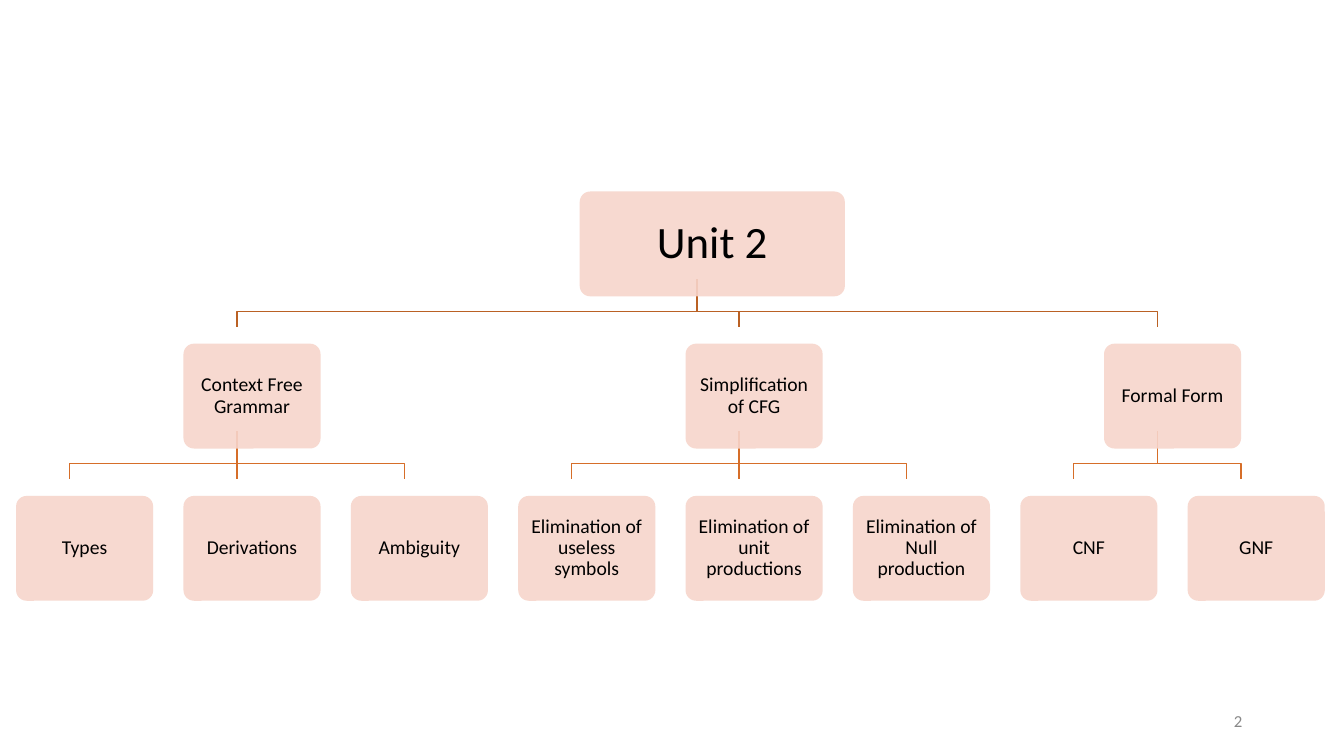
from dataclasses import dataclass
from typing import Optional

from lxml import etree
from pptx import Presentation
from pptx import util as u
from pptx.dml.color import RGBColor
from pptx.enum import shapes, text
from pptx.oxml.ns import qn

COLOURS = {"card": "F7D5CB", "plate": "FFFFFF", "text": "000000",
           "number": "888888", "branch": "BA6124", "twig": "D66E29"}
FONT = "Calibri"

# Grid: column 0 is centred on FIRST_CENTRE, row 0 starts at FIRST_TOP (inches).
COLUMN, ROW = 1.66, 1.51
FIRST_CENTRE, FIRST_TOP = 0.69, 1.73
BOX_HEIGHT = 1.04
CARD_SHIFT_X, CARD_SHIFT_Y = 0.15, 0.17
BEND = 0.32


@dataclass(frozen=True)
class Topic:
    label: str
    column: float
    row: int
    parent: Optional[str] = None
    width: float = 1.36
    size: int = 14
    inset: float = 0.06

    @property
    def centre(self) -> float:
        return FIRST_CENTRE + self.column * COLUMN

    @property
    def left(self) -> float:
        return self.centre - self.width / 2

    @property
    def top(self) -> float:
        return FIRST_TOP + self.row * ROW

    @property
    def bottom(self) -> float:
        return self.top + BOX_HEIGHT


TOPICS = [
    Topic("Unit 2", 3.75, 0, width=2.63, size=32, inset=0.13),
    Topic("Context Free Grammar", 1, 1, "Unit 2"),
    Topic("Simplification of CFG", 4, 1, "Unit 2"),
    Topic("Formal Form", 6.5, 1, "Unit 2"),
    Topic("Types", 0, 2, "Context Free Grammar"),
    Topic("Derivations", 1, 2, "Context Free Grammar"),
    Topic("Ambiguity", 2, 2, "Context Free Grammar"),
    Topic("Elimination of useless symbols", 3, 2, "Simplification of CFG"),
    Topic("Elimination of unit productions", 4, 2, "Simplification of CFG"),
    Topic("Elimination of Null production", 5, 2, "Simplification of CFG"),
    Topic("CNF", 6, 2, "Formal Form"),
    Topic("GNF", 7, 2, "Formal Form"),
]


def colour(name: str) -> RGBColor:
    return RGBColor.from_string(COLOURS[name])


def add_box(page, topic: Topic, fill: str, shift_x: float = 0, shift_y: float = 0):
    box = page.shapes.add_shape(
        shapes.MSO_SHAPE.ROUNDED_RECTANGLE,
        u.Inches(topic.left + shift_x), u.Inches(topic.top + shift_y),
        u.Inches(topic.width), u.Inches(BOX_HEIGHT))
    box.adjustments[0] = 0.1
    box.shadow.inherit = False
    box.fill.solid()
    box.fill.fore_color.rgb = colour(fill)
    box.line.fill.background()
    return box


def write(box, words: str, size: int, ink: str, align, margin_x: float, margin_y: float):
    frame = box.text_frame
    frame.word_wrap = True
    frame.vertical_anchor = text.MSO_ANCHOR.MIDDLE
    frame.margin_left = frame.margin_right = u.Inches(margin_x)
    frame.margin_top = frame.margin_bottom = u.Inches(margin_y)
    para = frame.paragraphs[0]
    para.text = words
    para.alignment = align
    para.font.name = FONT
    para.font.size = u.Pt(size)
    para.font.color.rgb = colour(ink)
    return para


def add_card(page, topic: Topic) -> None:
    """Draw the slightly see-through card that carries the topic's label."""
    card = add_box(page, topic, "card", CARD_SHIFT_X, CARD_SHIFT_Y)
    tint = card._element.spPr.find(qn("a:solidFill"))[0]
    etree.SubElement(tint, qn("a:alpha")).set("val", "90000")
    para = write(card, topic.label, topic.size, "text", text.PP_ALIGN.CENTER,
                 topic.inset, topic.inset)
    para.line_spacing = 0.9


def add_link(page, parent: Topic, child: Topic, plates: dict) -> None:
    """Join two topics: straight when stacked, otherwise with two bends."""
    if parent.column == child.column:
        link = page.shapes.add_connector(shapes.MSO_CONNECTOR.STRAIGHT, 0, 0, 0, 0)
        link.begin_connect(plates[parent.label], 2)
        link.end_connect(plates[child.label], 0)
        etree.SubElement(link._element.spPr, qn("a:effectLst"))
    else:
        bend = parent.bottom + BEND
        corners = [(parent.centre, bend), (child.centre, bend), (child.centre, child.top)]
        outline = page.shapes.build_freeform(
            u.Inches(parent.centre), u.Inches(parent.bottom))
        outline.add_line_segments(
            [(u.Inches(x), u.Inches(y)) for x, y in corners], close=False)
        link = outline.convert_to_shape()
        link.fill.background()
        link.shadow.inherit = False
    link.line.color.rgb = colour("branch" if parent.row == 0 else "twig")
    link.line.width = u.Pt(1)


def main() -> None:
    deck = Presentation()
    deck.slide_width, deck.slide_height = u.Inches(13.33), u.Inches(7.5)
    page = deck.slides.add_slide(deck.slide_layouts[6])

    by_label = {topic.label: topic for topic in TOPICS}
    plates = {topic.label: add_box(page, topic, "plate") for topic in TOPICS}
    for topic in TOPICS:
        if topic.parent:
            add_link(page, by_label[topic.parent], topic, plates)
    for topic in TOPICS:
        add_card(page, topic)

    number = page.shapes.add_textbox(
        u.Inches(9.42), u.Inches(6.95), u.Inches(3), u.Inches(0.4))
    write(number, "2", 12, "number", text.PP_ALIGN.RIGHT, 0.1, 0.05)
    deck.save("out.pptx")


if __name__ == "__main__":
    main()
